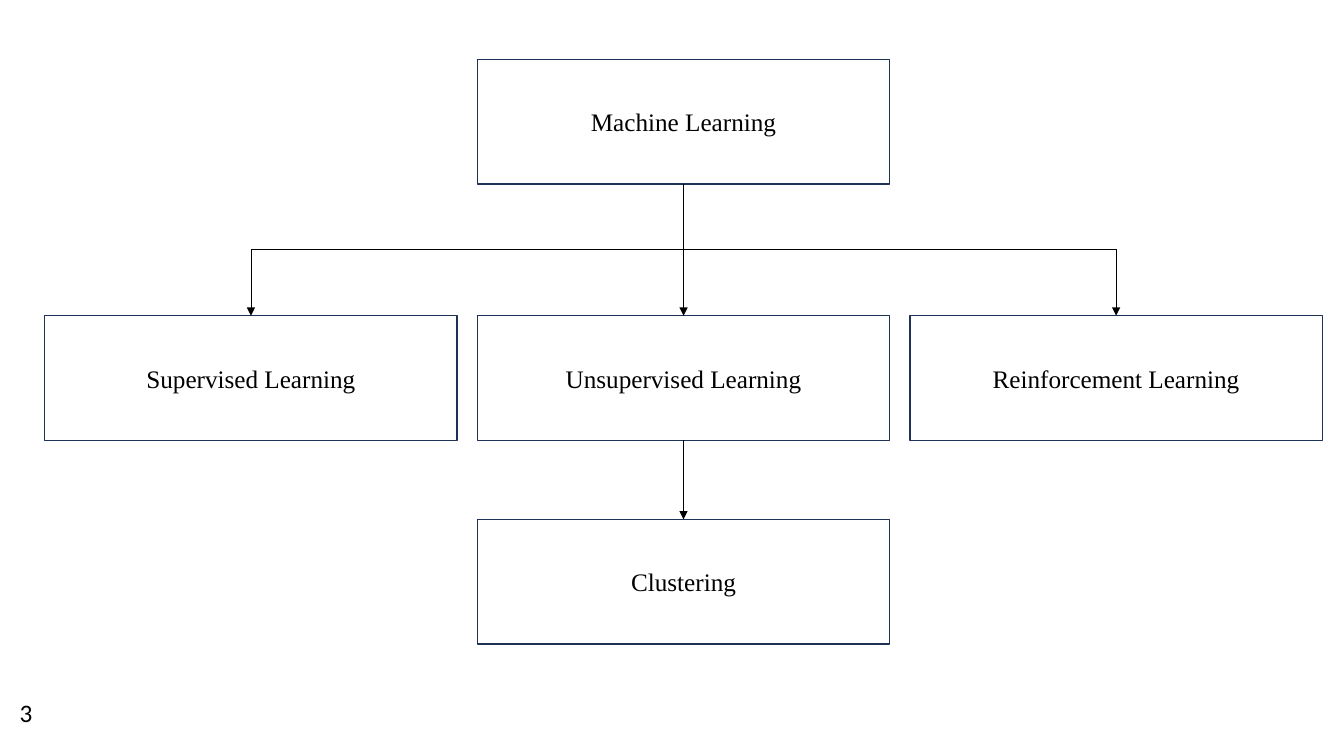
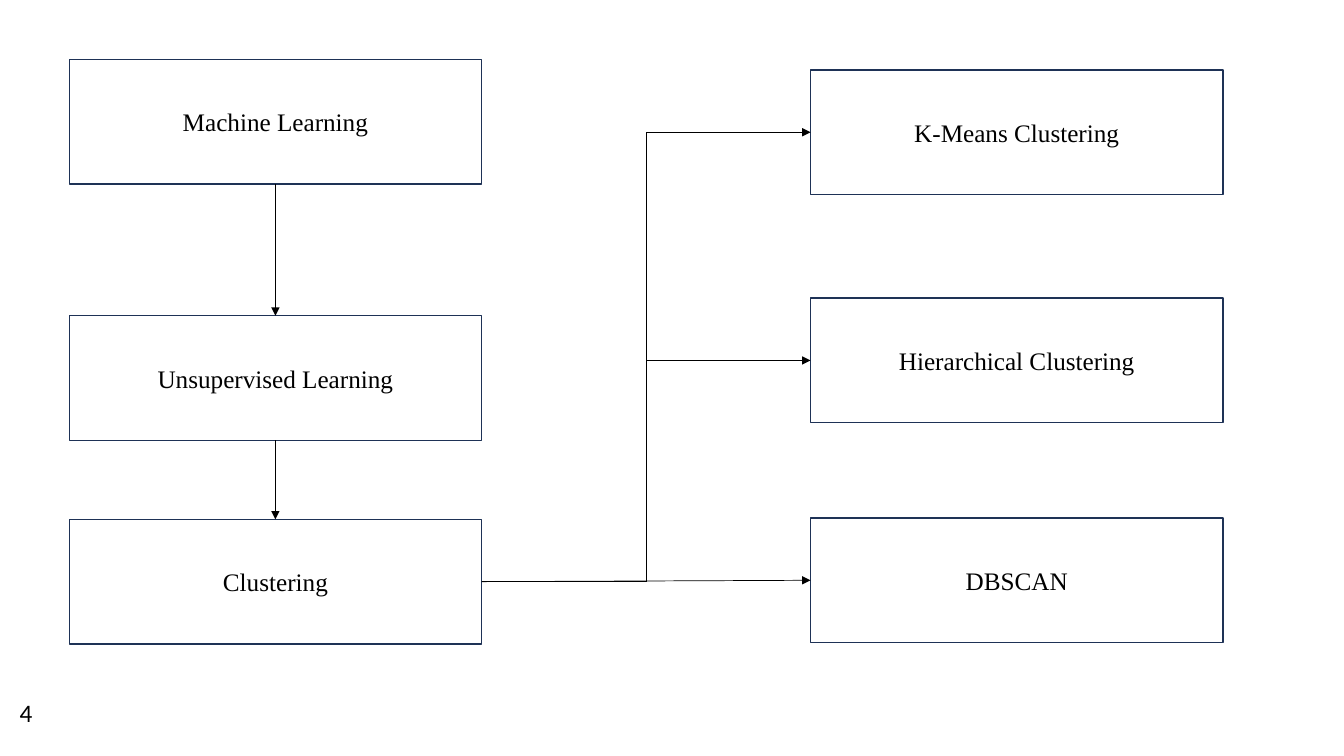
from lxml.etree import SubElement
from pptx import Presentation
from pptx.dml.color import RGBColor
from pptx.enum.shapes import MSO_CONNECTOR, MSO_SHAPE
from pptx.enum.text import MSO_ANCHOR, PP_ALIGN
from pptx.oxml.ns import qn
from pptx.util import Pt

COLOURS = {"paper": "FFFFFF", "border": "1E3256", "ink": "000000"}
TOPIC_FONT, NUMBER_FONT = "Times New Roman", "Calibri"
BOX_WIDTH, BOX_HEIGHT = 294.5, 89
ROOT_TOP, BRANCH_TOP, CLUSTERING_TOP = 42.5, 225.5, 371
BRANCH_LEFTS = [32 + 309 * column for column in range(3)]
PATH_LEFT, METHOD_LEFT = 49.5, 579
TOP, LEFT, BOTTOM, RIGHT = range(4)


def colour(name):
    return RGBColor.from_string(COLOURS[name])


def style_text(paragraph, font_name):
    paragraph.font.name = font_name
    paragraph.font.size = Pt(18)
    paragraph.font.color.rgb = colour("ink")


def add_numbered_slide(deck, number):
    slide = deck.slides.add_slide(deck.slide_layouts[6])
    frame = slide.shapes.add_textbox(Pt(7), Pt(494.5), Pt(216), Pt(29)).text_frame
    frame.word_wrap = True
    frame.text = str(number)
    style_text(frame.paragraphs[0], NUMBER_FONT)
    return slide


def add_topic(slide, label, left, top):
    topic = slide.shapes.add_shape(
        MSO_SHAPE.RECTANGLE, Pt(left), Pt(top), Pt(BOX_WIDTH), Pt(BOX_HEIGHT))
    topic.shadow.inherit = False
    topic.fill.solid()
    topic.fill.fore_color.rgb = colour("paper")
    topic.line.color.rgb = colour("border")
    topic.line.width = Pt(1)
    frame = topic.text_frame
    frame.word_wrap = True
    frame.vertical_anchor = MSO_ANCHOR.MIDDLE
    frame.text = label
    paragraph = frame.paragraphs[0]
    paragraph.alignment = PP_ALIGN.CENTER
    style_text(paragraph, TOPIC_FONT)
    return topic


def add_arrow(slide, kind, source, source_side, target, target_side):
    arrow = slide.shapes.add_connector(kind, Pt(0), Pt(0), Pt(0), Pt(0))
    arrow.begin_connect(source, source_side)
    arrow.end_connect(target, target_side)
    arrow.line.color.rgb = colour("ink")
    arrow.line.width = Pt(0.5)
    properties = arrow.element.spPr
    SubElement(properties.find(qn("a:ln")), qn("a:tailEnd"), type="triangle")
    SubElement(properties, qn("a:effectLst"))
    return arrow


def add_down_arrow(slide, source, target):
    add_arrow(slide, MSO_CONNECTOR.STRAIGHT, source, BOTTOM, target, TOP)


def add_down_elbow(slide, source, target):
    elbow = add_arrow(slide, MSO_CONNECTOR.ELBOW, source, BOTTOM, target, TOP)
    goes_right = target.left > source.left
    across, down = elbow.width, elbow.height
    centre_x, centre_y = elbow.left + across // 2, elbow.top + down // 2
    elbow.left, elbow.top = centre_x - down // 2, centre_y - across // 2
    elbow.width, elbow.height = down, across
    frame = elbow.element.spPr.find(qn("a:xfrm"))
    frame.set("rot", str((270 if goes_right else 90) * 60000))
    frame.set("flipH", str(int(goes_right)))
    frame.set("flipV", "0")


def build_learning_types(deck):
    slide = add_numbered_slide(deck, 3)
    root = add_topic(slide, "Machine Learning", BRANCH_LEFTS[1], ROOT_TOP)
    labels = ["Supervised Learning", "Unsupervised Learning", "Reinforcement Learning"]
    supervised, unsupervised, reinforcement = [
        add_topic(slide, label, left, BRANCH_TOP)
        for label, left in zip(labels, BRANCH_LEFTS)]
    clustering = add_topic(slide, "Clustering", BRANCH_LEFTS[1], CLUSTERING_TOP)
    add_down_elbow(slide, root, supervised)
    add_down_arrow(slide, root, unsupervised)
    add_down_elbow(slide, root, reinforcement)
    add_down_arrow(slide, unsupervised, clustering)


def build_clustering_methods(deck):
    slide = add_numbered_slide(deck, 4)
    root = add_topic(slide, "Machine Learning", PATH_LEFT, ROOT_TOP)
    unsupervised = add_topic(slide, "Unsupervised Learning", PATH_LEFT, BRANCH_TOP)
    clustering = add_topic(slide, "Clustering", PATH_LEFT, CLUSTERING_TOP)
    add_down_arrow(slide, root, unsupervised)
    add_down_arrow(slide, unsupervised, clustering)
    methods = [
        ("K-Means Clustering", 50, MSO_CONNECTOR.ELBOW),
        ("Hierarchical Clustering", 213, MSO_CONNECTOR.ELBOW),
        ("DBSCAN", 370, MSO_CONNECTOR.STRAIGHT),
    ]
    for label, top, kind in methods:
        method = add_topic(slide, label, METHOD_LEFT, top)
        add_arrow(slide, kind, clustering, RIGHT, method, LEFT)


def main():
    deck = Presentation()
    deck.slide_width, deck.slide_height = Pt(960), Pt(540)
    build_learning_types(deck)
    build_clustering_methods(deck)
    deck.save("out.pptx")


if __name__ == "__main__":
    main()
